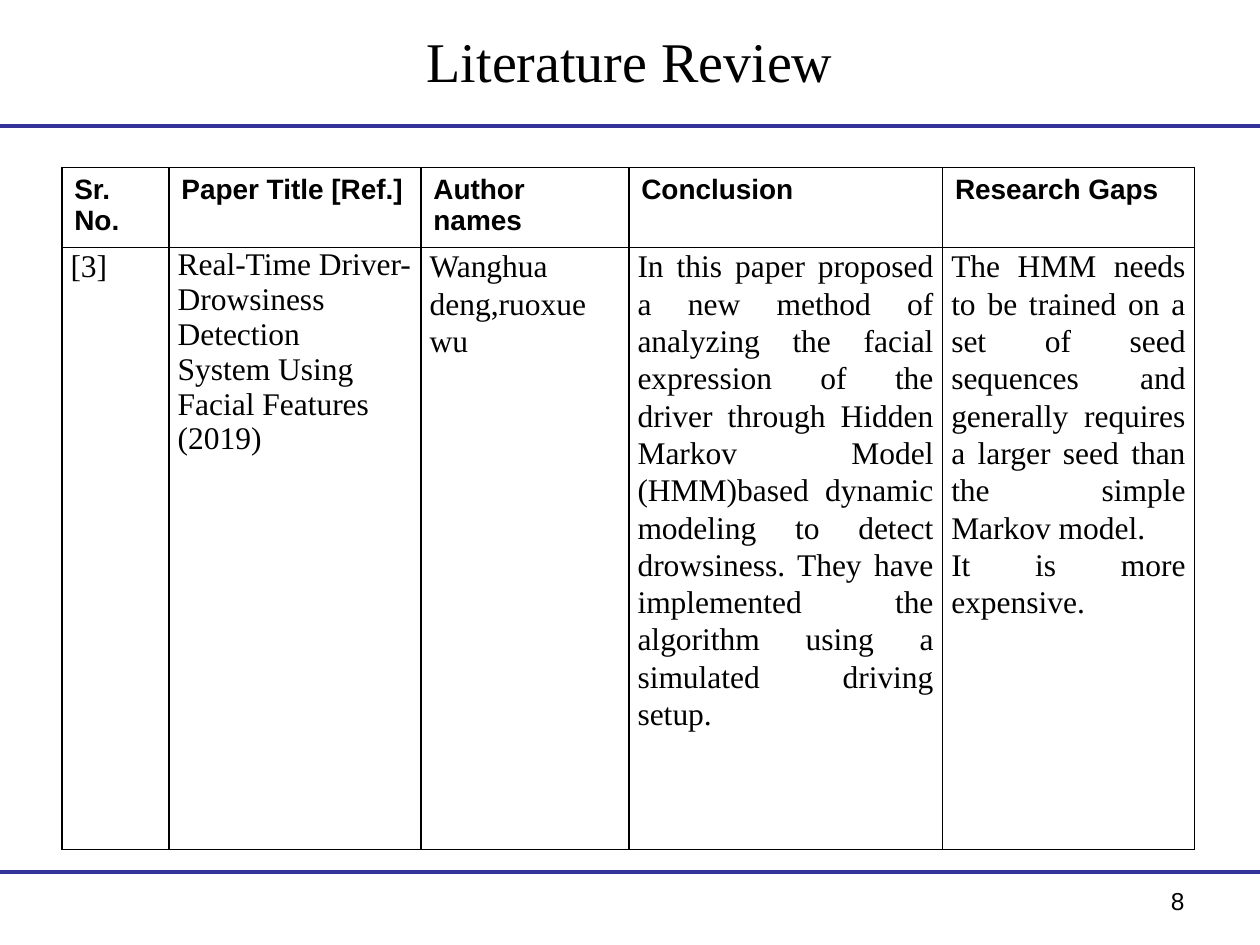
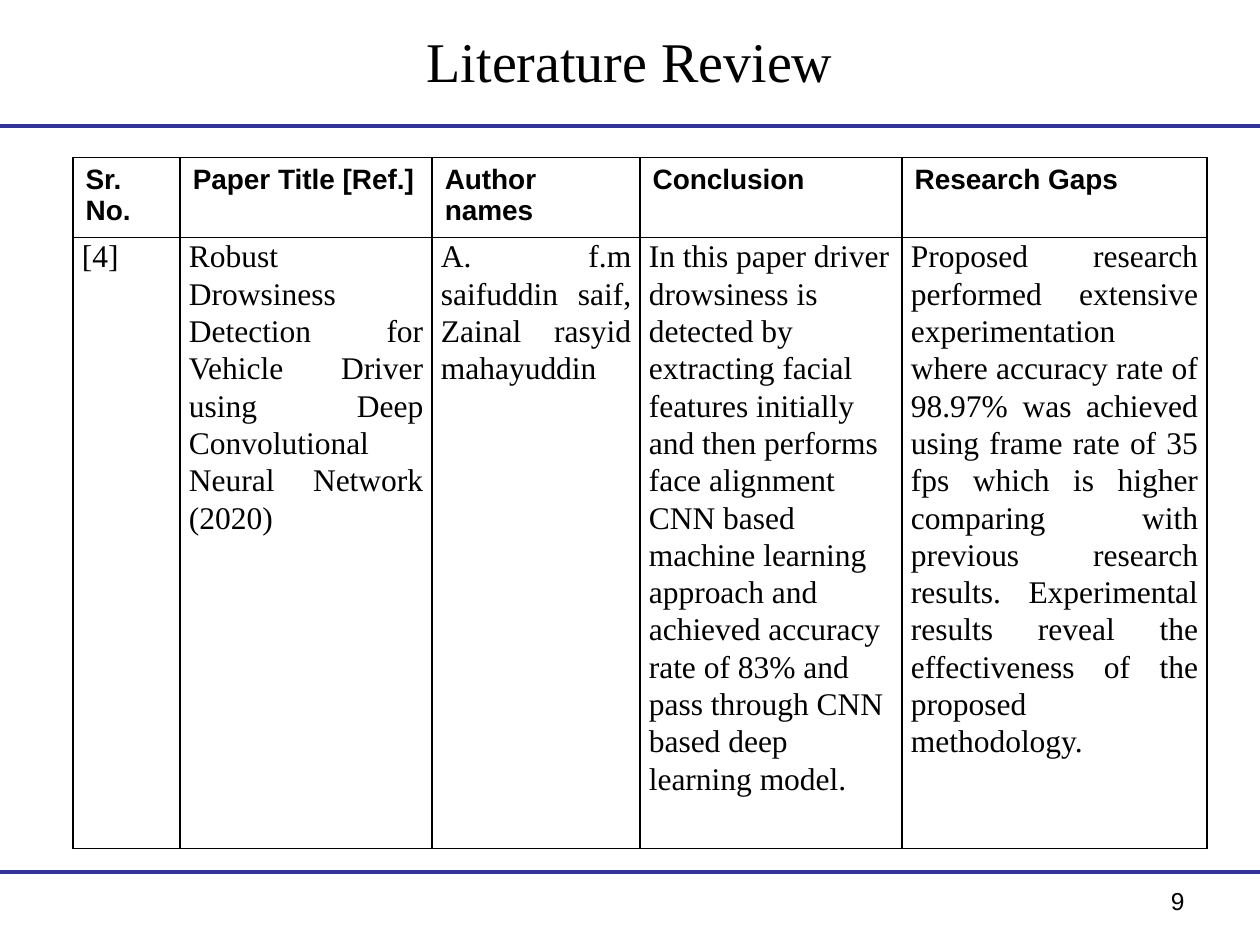
from dataclasses import dataclass

from lxml import etree
from pptx import Presentation
from pptx.dml.color import RGBColor
from pptx.enum.shapes import MSO_CONNECTOR
from pptx.enum.text import MSO_ANCHOR, PP_ALIGN
from pptx.oxml.ns import qn
from pptx.util import Inches, Pt

STRAIGHT = MSO_CONNECTOR.STRAIGHT
MIDDLE, TOP = MSO_ANCHOR.MIDDLE, MSO_ANCHOR.TOP
LEFT, CENTER = PP_ALIGN.LEFT, PP_ALIGN.CENTER
RIGHT, JUSTIFY = PP_ALIGN.RIGHT, PP_ALIGN.JUSTIFY
TITLE_ONLY = 5
SLIDE_WIDTH, SLIDE_HEIGHT = 10, 7.5


@dataclass(frozen=True)
class TextStyle:
    font: str
    size: int
    bold: bool = False


@dataclass(frozen=True)
class Theme:
    ink: RGBColor = RGBColor(0x00, 0x00, 0x00)
    paper: RGBColor = RGBColor(0xFF, 0xFF, 0xFF)
    rule: RGBColor = RGBColor(0x33, 0x33, 0x99)
    rule_width: float = 2.25
    border_width: float = 1
    title: TextStyle = TextStyle("Times New Roman", 32)
    header: TextStyle = TextStyle("Arial", 16, True)
    body: TextStyle = TextStyle("Times New Roman", 18)
    page_number: TextStyle = TextStyle("Arial", 14)


@dataclass(frozen=True)
class Entry:
    """Body cell of the review table."""
    paragraphs: tuple
    alignment: PP_ALIGN = JUSTIFY
    line_spacing: float = 1.07


@dataclass(frozen=True)
class Review:
    page: int
    box: tuple
    columns: tuple
    entries: tuple


THEME = Theme()
TITLE = "Literature Review"
TITLE_BOX = (0.5, 0.13, 9, 0.7)
PAGE_NUMBER_BOX = (7.17, 6.98, 2.33, 0.52)
RULE_POSITIONS = (1, 6.92)
HEADER_HEIGHT = 0.63
HEADER_MARGINS = (0.1, 0.05)
BODY_MARGINS = (0.07, 0)
HEADERS = ("Sr. No.", "Paper Title [Ref.]", "Author names", "Conclusion", "Research Gaps")

REVIEWS = (
    Review(
        page=8,
        box=(0.49, 1.33, 9, 5.41),
        columns=(0.85, 2, 1.65, 2.49, 2),
        entries=(
            Entry(("[3]",)),
            Entry(("Real-Time Driver-Drowsiness Detection",
                   "System Using Facial Features (2019)"), LEFT, 1.0),
            Entry(("Wanghua deng,ruoxue wu",)),
            Entry(("In this paper proposed a new method of analyzing the facial "
                   "expression of the driver through Hidden Markov Model (HMM)based "
                   "dynamic modeling to detect drowsiness. They have implemented the "
                   "algorithm using a simulated driving setup.",)),
            Entry(("The HMM needs to be trained on a set of seed sequences and "
                   "generally requires a larger seed than the simple Markov model.",
                   "It is more expensive.")),
        ),
    ),
    Review(
        page=9,
        box=(0.58, 1.25, 9, 5.48),
        columns=(0.85, 2, 1.65, 2.08, 2.42),
        entries=(
            Entry(("[4]",)),
            Entry(("Robust Drowsiness Detection for Vehicle Driver using Deep "
                   "Convolutional Neural Network (2020)",)),
            Entry(("A. f.m saifuddin saif, Zainal rasyid mahayuddin",)),
            Entry(("In this paper driver drowsiness is detected by extracting facial "
                   "features initially and then performs face alignment CNN based "
                   "machine learning approach and achieved accuracy rate of 83% and "
                   "pass through CNN based deep learning model.",), LEFT),
            Entry(("Proposed research performed extensive experimentation where "
                   "accuracy rate of 98.97% was achieved using frame rate of 35 fps "
                   "which is higher comparing with previous research results. "
                   "Experimental results reveal the effectiveness of the proposed "
                   "methodology.",)),
        ),
    ),
)


def write_paragraphs(text_frame, paragraphs, style, alignment=LEFT, line_spacing=1.0):
    text_frame.word_wrap = True
    text_frame.text = "\n".join(paragraphs)
    for paragraph in text_frame.paragraphs:
        paragraph.alignment = alignment
        paragraph.line_spacing = line_spacing
        paragraph.font.name = style.font
        paragraph.font.size = Pt(style.size)
        paragraph.font.bold = style.bold
        paragraph.font.color.rgb = THEME.ink


def add_rule(slide, top):
    """Draw a horizontal line across the whole slide."""
    line = slide.shapes.add_connector(
        STRAIGHT, 0, Inches(top), Inches(SLIDE_WIDTH), Inches(top))
    line.line.color.rgb = THEME.rule
    line.line.width = Pt(THEME.rule_width)
    etree.SubElement(line._element.spPr, qn("a:effectLst"))


def add_frame(slide, page):
    """Place the title, the two rules and the page number."""
    for top in RULE_POSITIONS:
        add_rule(slide, top)
    title = slide.shapes.title
    title.left, title.top, title.width, title.height = map(Inches, TITLE_BOX)
    title.text_frame.vertical_anchor = MIDDLE
    write_paragraphs(title.text_frame, (TITLE,), THEME.title, CENTER)
    number = slide.shapes.add_textbox(*map(Inches, PAGE_NUMBER_BOX))
    number.text_frame.vertical_anchor = TOP
    write_paragraphs(number.text_frame, (str(page),), THEME.page_number, RIGHT)


def format_cell(cell, margins):
    """Give a cell thin borders on all sides, a plain fill and its margins."""
    properties = cell._tc.get_or_add_tcPr()
    for side in ("lnL", "lnR", "lnT", "lnB"):
        border = etree.SubElement(
            properties, qn(f"a:{side}"), w=str(Pt(THEME.border_width)))
        fill = etree.SubElement(border, qn("a:solidFill"))
        etree.SubElement(fill, qn("a:srgbClr"), val=str(THEME.ink))
    cell.fill.solid()
    cell.fill.fore_color.rgb = THEME.paper
    horizontal, vertical = map(Inches, margins)
    cell.margin_left = cell.margin_right = horizontal
    cell.margin_top = cell.margin_bottom = vertical


def add_review_table(slide, review):
    table = slide.shapes.add_table(2, len(HEADERS), *map(Inches, review.box)).table
    for column, width in zip(table.columns, review.columns):
        column.width = Inches(width)
    table.rows[0].height = Inches(HEADER_HEIGHT)
    table.rows[1].height = Inches(review.box[3] - HEADER_HEIGHT)
    for index, (header, entry) in enumerate(zip(HEADERS, review.entries)):
        header_cell, body_cell = table.cell(0, index), table.cell(1, index)
        format_cell(header_cell, HEADER_MARGINS)
        write_paragraphs(header_cell.text_frame, (header,), THEME.header)
        format_cell(body_cell, BODY_MARGINS)
        write_paragraphs(body_cell.text_frame, entry.paragraphs, THEME.body,
                         entry.alignment, entry.line_spacing)


def main():
    presentation = Presentation()
    presentation.slide_width = Inches(SLIDE_WIDTH)
    presentation.slide_height = Inches(SLIDE_HEIGHT)
    for review in REVIEWS:
        slide = presentation.slides.add_slide(presentation.slide_layouts[TITLE_ONLY])
        add_frame(slide, review.page)
        add_review_table(slide, review)
    presentation.save("out.pptx")


if __name__ == "__main__":
    main()
